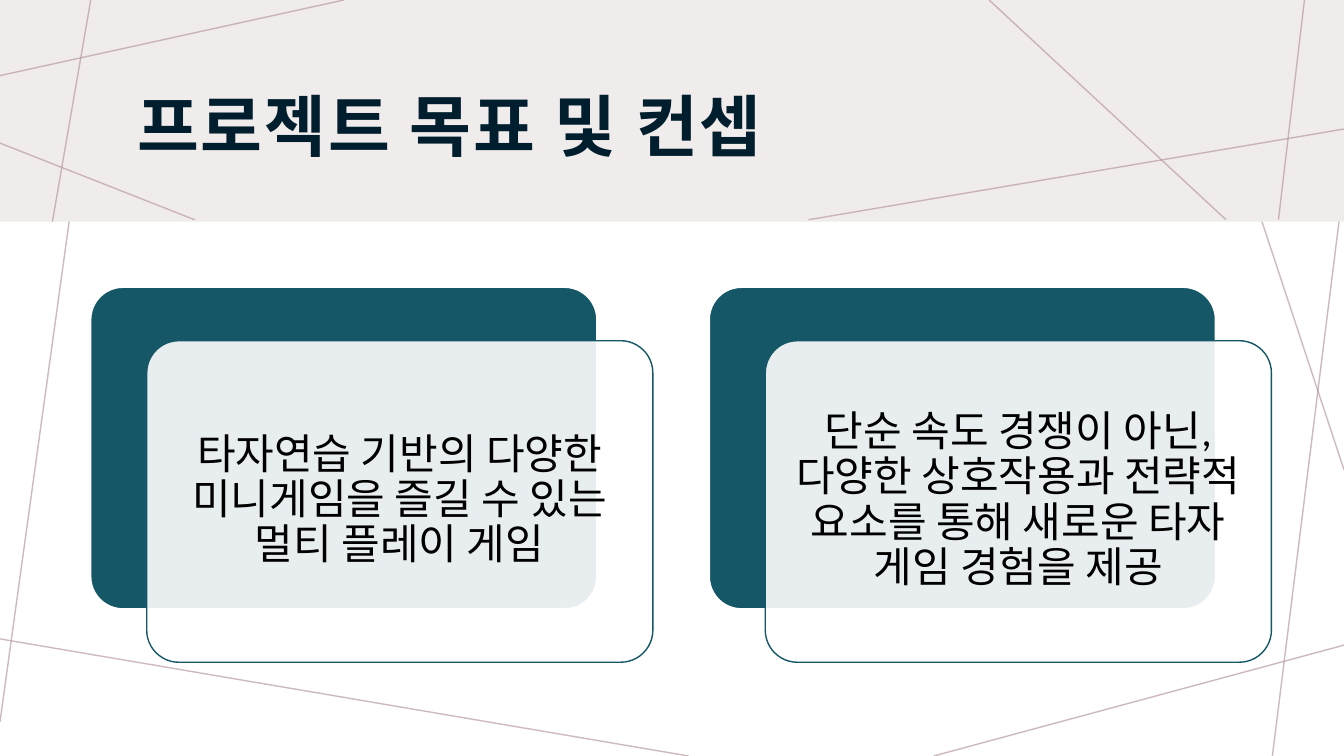
from lxml import etree
from pptx import Presentation
from pptx import util as u
from pptx.dml.color import RGBColor
from pptx.enum import shapes, text
from pptx.oxml import ns

COLORS = {"band": "F0ECEC", "mesh": "BA9CA0", "title": "001E2E",
          "teal": "155767", "white": "FFFFFF", "black": "000000"}
FONT = "Calibri"
PAGE_MESH = [(3.41, 0, 0, 0.75), (0.99, 0, 0, 7.16), (6.83, 7.5, -0.05, 6.33),
             (13.33, 6.4, 9.26, 7.5), (13.33, 1.8, 12.62, 7.5),
             (13.33, 4.66, 11.79, 0), (13.33, 1.01, 7.14, -0.01)]
BAND_MESH = [(3.41, 0, 0, 0.75), (0.9, 0, 0.52, 2.2), (1.93, 2.18, 0, 1.42),
             (13.33, 1.28, 8.02, 2.18), (12.16, 2.18, 9.81, 0),
             (12.94, -0.02, 12.68, 2.18)]
CARDS = ["타자연습 기반의 다양한 미니게임을 즐길 수 있는 멀티 플레이 게임",
         "단순 속도 경쟁이 아닌, 다양한 상호작용과 전략적 요소를 통해 새로운 타자 게임 경험을 제공"]
CARD_LEFT, CARD_TOP, CARD_STEP = 0.9, 2.85, 6.135
CARD_SIZE = (5.02, 3.19)


def color(name):
    """Return a palette colour."""
    return RGBColor.from_string(COLORS[name])


def set_alpha(properties, percent):
    """Make the first solid colour under the properties see-through."""
    tint = next(properties.iter(ns.qn("a:srgbClr")))
    etree.SubElement(tint, ns.qn("a:alpha")).set("val", str(percent * 1000))


def add_mesh(page, lines):
    """Draw a set of thin decorative lines."""
    for x1, y1, x2, y2 in lines:
        line = page.shapes.add_connector(
            shapes.MSO_CONNECTOR.STRAIGHT,
            *map(u.Inches, (x1, y1, x2, y2)))
        line.line.color.rgb = color("mesh")
        line.line.width = u.Pt(1)
        properties = line._element.spPr
        set_alpha(properties, 70)
        etree.SubElement(properties, ns.qn("a:effectLst"))


def add_block(parent, preset, area, fill, outline=None):
    """Add a filled preset shape with an optional outline."""
    block = parent.add_shape(preset, *map(u.Inches, area))
    block.shadow.inherit = False
    block.fill.solid()
    block.fill.fore_color.rgb = color(fill)
    if outline:
        block.line.color.rgb = color(outline)
        block.line.width = u.Pt(1)
        block.adjustments[0] = 0.1
    else:
        block.line.fill.background()
    return block


def write(box, words, size, tone, align, spacing, bottom=0.12):
    """Write one formatted paragraph, vertically centred in the box."""
    frame = box.text_frame
    frame.word_wrap = True
    frame.auto_size = text.MSO_AUTO_SIZE.NONE
    frame.vertical_anchor = text.MSO_ANCHOR.MIDDLE
    frame.margin_left = frame.margin_top = frame.margin_right = u.Inches(0.12)
    frame.margin_bottom = u.Inches(bottom)
    para = frame.paragraphs[0]
    para.alignment = align
    para.line_spacing = spacing
    para.space_before = u.Pt(0)
    span = para.add_run()
    span.text = words
    span.font.size = u.Pt(size)
    span.font.name = FONT
    span.font.color.rgb = color(tone)
    east_asian = etree.SubElement(span.font._element, ns.qn("a:ea"))
    east_asian.set("typeface", FONT)
    return span


def add_title(page, words):
    """Place the title placeholder above the band."""
    title = page.shapes.title
    title.left, title.top, title.width, title.height = map(
        u.Inches, (1.24, 0.54, 11.01, 1.34))
    span = write(title, words, 48, "title", text.PP_ALIGN.LEFT, 1.05, 0.1)
    span.font.bold = True
    span.font._element.set("spc", "150")
    page.shapes._spTree.append(title._element)


def add_card(parent, left, words):
    """Add a teal card with an offset translucent panel and its text."""
    rounded = shapes.MSO_SHAPE.ROUNDED_RECTANGLE
    add_block(parent, rounded, (left, CARD_TOP, *CARD_SIZE), "teal", "white")
    panel = add_block(parent, rounded, (left + 0.555, CARD_TOP + 0.53, *CARD_SIZE),
                      "white", "teal")
    set_alpha(panel._element.spPr, 90)
    box = parent.add_textbox(*map(u.Inches, (left + 0.65, CARD_TOP + 0.62, 4.83, 3)))
    write(box, words, 30, "black", text.PP_ALIGN.CENTER, 0.9)


def main():
    """Build and save the slide."""
    deck = Presentation()
    deck.slide_width, deck.slide_height = u.Inches(13.33), u.Inches(7.5)
    page = deck.slides.add_slide(deck.slide_layouts[5])
    add_mesh(page, PAGE_MESH)
    add_block(page.shapes, shapes.MSO_SHAPE.RECTANGLE, (0, 0, 13.33, 2.2), "band")
    add_mesh(page, BAND_MESH)
    add_title(page, "프로젝트 목표 및 컨셉")
    cards = page.shapes.add_group_shape().shapes
    for index, words in enumerate(CARDS):
        add_card(cards, CARD_LEFT + index * CARD_STEP, words)
    deck.save("out.pptx")


if __name__ == "__main__":
    main()
